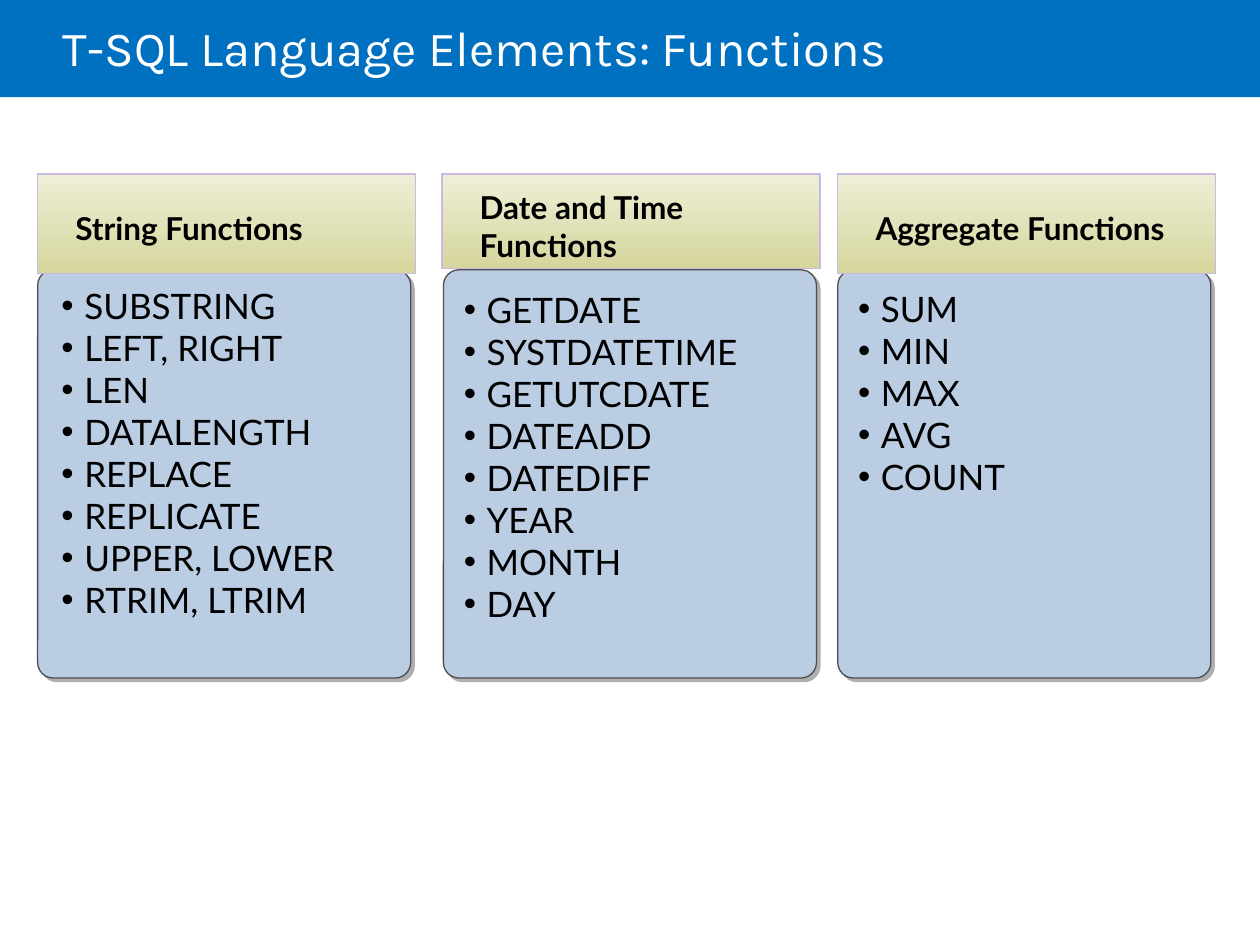
from lxml.etree import SubElement
from pptx import Presentation
from pptx.dml.color import RGBColor
from pptx.enum.shapes import MSO_SHAPE
from pptx.enum.text import MSO_ANCHOR, PP_ALIGN
from pptx.oxml.ns import qn
from pptx.util import Cm, Pt

BLUE = RGBColor(0x00, 0x70, 0xC0)
WHITE = RGBColor(0xFF, 0xFF, 0xFF)
BLACK = RGBColor(0x00, 0x00, 0x00)
PANEL_BLUE = RGBColor(0xBB, 0xCD, 0xE3)
PANEL_EDGE = RGBColor(0x4D, 0x4D, 0x4D)
SHADOW_GREY = RGBColor(0xAF, 0xAF, 0xAF)
OLIVE_LIGHT = RGBColor(0xEE, 0xEF, 0xD7)
OLIVE_DARK = RGBColor(0xD5, 0xD6, 0x9C)
LILAC = RGBColor(0xCC, 0xB8, 0xE4)

# Heading, header left and height, panel left, list box (left, top, width), functions
COLUMNS = [
    ("String Functions", 0.76, 2.01, 0.76, (1.24, 5.74, 6.71),
     ["SUBSTRING", "LEFT, RIGHT", "LEN", "DATALENGTH", "REPLACE",
      "REPLICATE", "UPPER, LOWER", "RTRIM, LTRIM"]),
    ("Date and Time Functions", 8.91, 1.91, 8.94, (9.35, 5.82, 7.11),
     ["GETDATE", "SYSTDATETIME", "GETUTCDATE", "DATEADD", "DATEDIFF",
      "YEAR", "MONTH", "DAY"]),
    ("Aggregate Functions", 16.89, 2.01, 16.89, (17.3, 5.79, 7.29),
     ["SUM", "MIN", "MAX", "AVG", "COUNT"]),
]


def write(frame, lines, size, font="Lato", color=BLACK, bold=False, bullet=False,
          anchor=MSO_ANCHOR.TOP, insets=(0, 0, 0, 0), spacing=None):
    """Fill a text frame with one paragraph per line; insets are in cm."""
    frame.word_wrap = True
    frame.vertical_anchor = anchor
    (frame.margin_left, frame.margin_top,
     frame.margin_right, frame.margin_bottom) = map(Cm, insets)
    for index, line in enumerate(lines):
        paragraph = frame.paragraphs[0] if index == 0 else frame.add_paragraph()
        paragraph.alignment = PP_ALIGN.LEFT
        if spacing:
            paragraph.line_spacing = spacing
        run = paragraph.add_run()
        run.text = line
        run.font.name = font
        run.font.size = Pt(size)
        run.font.bold = bold
        run.font.color.rgb = color
        if bullet:
            properties = paragraph._p.get_or_add_pPr()
            properties.set("marL", str(Cm(0.46)))
            properties.set("indent", str(Cm(-0.46)))
            SubElement(properties, qn("a:buFont"), typeface="Arial")
            SubElement(properties, qn("a:buChar"), char="•")


class FunctionSlide:
    """Holds the slide and draws its parts in one style; lengths are in cm."""

    panel_top, panel_width, panel_height = 5.44, 7.52, 8.23
    header_top, header_width = 3.51, 7.62
    list_height = 7.55

    def __init__(self, slide):
        self.slide = slide

    def box(self, kind, left, top, width, height, edge=None):
        shape = self.slide.shapes.add_shape(
            kind, Cm(left), Cm(top), Cm(width), Cm(height))
        shape.shadow.inherit = False
        if edge is None:
            shape.line.fill.background()
        else:
            shape.line.color.rgb = edge
            shape.line.width = Pt(0.75)
        return shape

    def text_box(self, left, top, width, height, lines, **style):
        area = self.slide.shapes.add_textbox(
            Cm(left), Cm(top), Cm(width), Cm(height))
        write(area.text_frame, lines, **style)

    def title(self, text):
        band = self.box(MSO_SHAPE.RECTANGLE, 0, 0, 25.4, 1.96)
        band.fill.solid()
        band.fill.fore_color.rgb = BLUE
        self.text_box(1.27, 0, 21.59, 2.06, [text], size=28, font="Karla",
                      color=WHITE, anchor=MSO_ANCHOR.MIDDLE,
                      insets=(0, 0.13, 0.25, 0.13), spacing=0.85)

    def panel(self, left):
        panel = self.box(MSO_SHAPE.ROUNDED_RECTANGLE, left, self.panel_top,
                         self.panel_width, self.panel_height, PANEL_EDGE)
        panel.adjustments[0] = 0.042
        panel.fill.solid()
        panel.fill.fore_color.rgb = PANEL_BLUE
        effects = panel._element.spPr.find(qn("a:effectLst"))
        shadow = SubElement(effects, qn("a:outerShdw"), dist=str(Pt(2.8)),
                            dir="2700000", algn="ctr", rotWithShape="0")
        SubElement(shadow, qn("a:srgbClr"), val=str(SHADOW_GREY))

    def function_list(self, left, top, width, names):
        self.text_box(left, top, width, self.list_height, names,
                      size=20, bullet=True)

    def header(self, left, height, text):
        header = self.box(MSO_SHAPE.RECTANGLE, left, self.header_top,
                          self.header_width, height, LILAC)
        header.fill.gradient()
        header.fill.gradient_angle = 270
        for stop, color in zip(header.fill.gradient_stops, (OLIVE_LIGHT, OLIVE_DARK)):
            stop.color.rgb = color
        write(header.text_frame, [text], size=18, bold=True,
              anchor=MSO_ANCHOR.MIDDLE, insets=(0.76, 0.3, 0.25, 0.13))


def main():
    deck = Presentation()
    deck.slide_width, deck.slide_height = Cm(25.4), Cm(19.05)
    page = FunctionSlide(deck.slides.add_slide(deck.slide_layouts[6]))

    # Title band
    page.title("T-SQL Language Elements: Functions")

    # Function columns: panel and list, with the header overlapping the panel
    for heading, header_left, header_height, panel_left, list_area, names in COLUMNS:
        page.panel(panel_left)
        page.function_list(*list_area, names)
        page.header(header_left, header_height, heading)

    deck.save("out.pptx")


if __name__ == "__main__":
    main()
